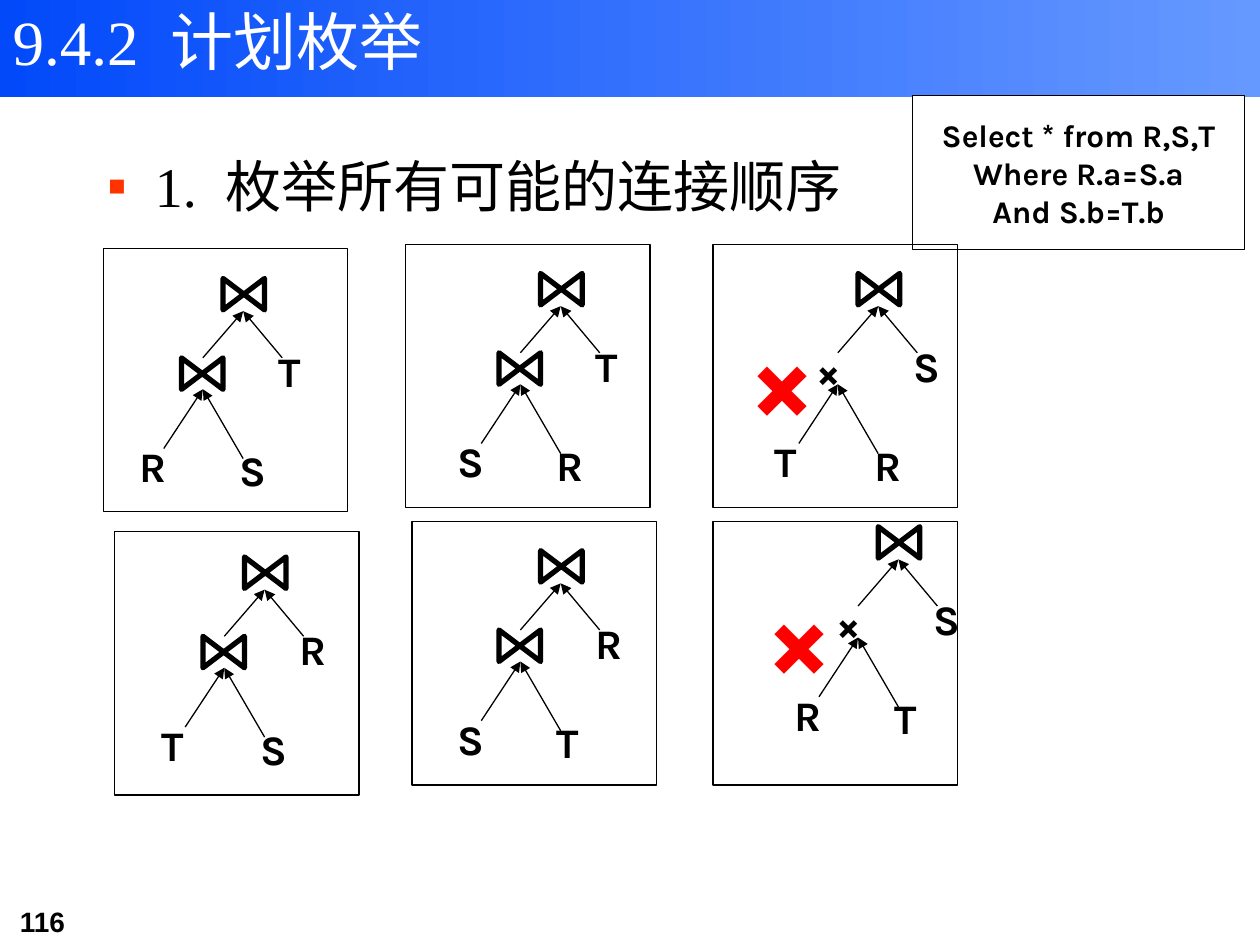
import pptx
import pptx.util
import pptx.dml.color
import pptx.enum.shapes
import pptx.enum.text
import pptx.oxml
import pptx.oxml.ns
import lxml.etree

Inches = pptx.util.Inches
Pt = pptx.util.Pt
SHAPE = pptx.enum.shapes.MSO_SHAPE
qn = pptx.oxml.ns.qn


def rgb(value):
    return pptx.dml.color.RGBColor.from_string(value)


def add_run(paragraph, text, size, font="Karla", color="000000", bold=True):
    run = paragraph.add_run()
    run.text = text
    run.font.size = Pt(size)
    run.font.name = font
    run.font.bold = bold
    run.font.color.rgb = rgb(color)
    return run


deck = pptx.Presentation()
deck.slide_width = Inches(10)
deck.slide_height = Inches(7.5)
slide = deck.slides.add_slide(deck.slide_layouts[1])
shapes = slide.shapes

band = shapes.add_shape(SHAPE.RECTANGLE, 0, 0, Inches(10), Inches(0.77))
band.shadow.inherit = False
band.line.fill.background()
band.fill.gradient()
band.fill.gradient_angle = 0
for stop, color in zip(band.fill.gradient_stops, ("0249FA", "6699FF")):
    stop.color.rgb = rgb(color)
shapes._spTree.insert(2, band._element)

title = shapes.title
body = slide.placeholders[1]
bullet = body.text_frame.paragraphs[0]
bullet_props = bullet._p.get_or_add_pPr()
bullet_props.set("marL", str(Inches(0.38)))
bullet_props.set("indent", str(-Inches(0.38)))
bullet_color = lxml.etree.SubElement(bullet_props, qn("a:buClr"))
lxml.etree.SubElement(bullet_color, qn("a:srgbClr")).set("val", "FF3300")
lxml.etree.SubElement(bullet_props, qn("a:buFont")).set("typeface", "Arial")
lxml.etree.SubElement(bullet_props, qn("a:buChar")).set("char", "▪")

headings = [
    (title, (0, -0.03, 7.68, 0.71), ("9.4.2", " ", "计划枚举"), 36, "FFFFFF"),
    (body, (0.75, 1.15, 8.5, 5.52), ("1.", " ", "枚举所有可能的连接顺序"), 32, "000000"),
]
for holder, box, parts, size, color in headings:
    holder.left, holder.top, holder.width, holder.height = map(Inches, box)
    holder.text_frame.auto_size = pptx.enum.text.MSO_AUTO_SIZE.NONE
    holder.text_frame.vertical_anchor = pptx.enum.text.MSO_ANCHOR.TOP
    heading = holder.text_frame.paragraphs[0]
    heading.alignment = pptx.enum.text.PP_ALIGN.LEFT
    heading.space_before = Pt(0)
    for part in parts:
        run = add_run(heading, part, size, "Times New Roman", color, False)
        if part == " ":
            run.font._element.set("spc", str(size * 25))

query = shapes.add_shape(SHAPE.RECTANGLE, Inches(7.24), Inches(0.76), Inches(2.64), Inches(1.22))
query.shadow.inherit = False
query.fill.solid()
query.fill.fore_color.rgb = rgb("FFFFFF")
query.line.color.rgb = rgb("000000")
query.line.width = Pt(0.75)
query.text_frame.word_wrap = False
query.text_frame.vertical_anchor = pptx.enum.text.MSO_ANCHOR.MIDDLE
for i, clause in enumerate(("Select * from R,S,T", "Where R.a=S.a", "And S.b=T.b")):
    paragraph = query.text_frame.paragraphs[0] if i == 0 else query.text_frame.add_paragraph()
    paragraph.alignment = pptx.enum.text.PP_ALIGN.CENTER
    add_run(paragraph, clause, 18)

labels = [("116", 0.06, 7.13, 1.22, 0.37, 16, "Arial", "000000")]

plans = [
    (1.93, 2.47, 0.82, 1.97, "RST", None),
    (4.45, 2.43, 3.22, 1.94, "SRT", None),
    (6.97, 2.43, 5.66, 1.94, "TRS", (5.87, 2.38)),
    (2.10, 4.68, 0.91, 4.22, "TSR", None),
    (4.45, 4.63, 3.27, 4.14, "STR", None),
    (7.13, 4.44, 5.66, 4.14, "RTS", (6.00, 4.43)),
]
join_offsets = [(-0.12, -0.3), (-0.45, 0.33)]
edge_offsets = [
    (-0.63, 1.09, -0.32, 0.62),
    (0, 1.17, -0.32, 0.62),
    (-0.32, 0.37, 0, 0),
    (0.31, 0.37, 0, 0),
]
relation_offsets = [(-0.92, 0.98), (-0.13, 1.01), (0.18, 0.22)]

for root_x, root_y, frame_x, frame_y, relations, cross in plans:
    frame = shapes.add_shape(SHAPE.RECTANGLE, Inches(frame_x), Inches(frame_y), Inches(1.94), Inches(2.09))
    frame.shadow.inherit = False
    frame.fill.background()
    frame.line.color.rgb = rgb("000000")
    frame.line.width = Pt(0.75)

    for dx, dy in join_offsets[:1] if cross else join_offsets:
        join = shapes.add_shape(SHAPE.FLOWCHART_COLLATE, Inches(root_x + dx), Inches(root_y + dy),
                                Inches(0.25), Inches(0.33))
        join.rotation = 90
        join.shadow.inherit = False
        join.fill.background()
        join.line.color.rgb = rgb("000000")
        join.line.width = Pt(3)

    for x1, y1, x2, y2 in edge_offsets:
        edge = shapes.add_connector(pptx.enum.shapes.MSO_CONNECTOR.STRAIGHT,
                                    Inches(root_x + x1), Inches(root_y + y1),
                                    Inches(root_x + x2), Inches(root_y + y2))
        edge.line.color.rgb = rgb("000000")
        edge.line.width = Pt(0.75)
        lxml.etree.SubElement(edge.line._get_or_add_ln(), qn("a:tailEnd")).set("type", "triangle")
        lxml.etree.SubElement(edge._element.spPr, qn("a:effectLst"))

    for relation, (dx, dy) in zip(relations, relation_offsets):
        labels.append((relation, root_x + dx, root_y + dy, 0.37, 0.5, 24, "Karla", "000000"))
    if cross:
        labels.append(("×", root_x - 0.58, root_y + 0.26, 0.45, 0.5, 24, "Karla", "000000"))
        labels.append(("×", *cross, 0.97, 1.21, 66, "Karla", "FF0000"))

for text, x, y, width, height, size, font, color in labels:
    label = shapes.add_textbox(Inches(x), Inches(y), Inches(width), Inches(height))
    label.text_frame.word_wrap = True
    add_run(label.text_frame.paragraphs[0], text, size, font, color)

deck.save("out.pptx")
